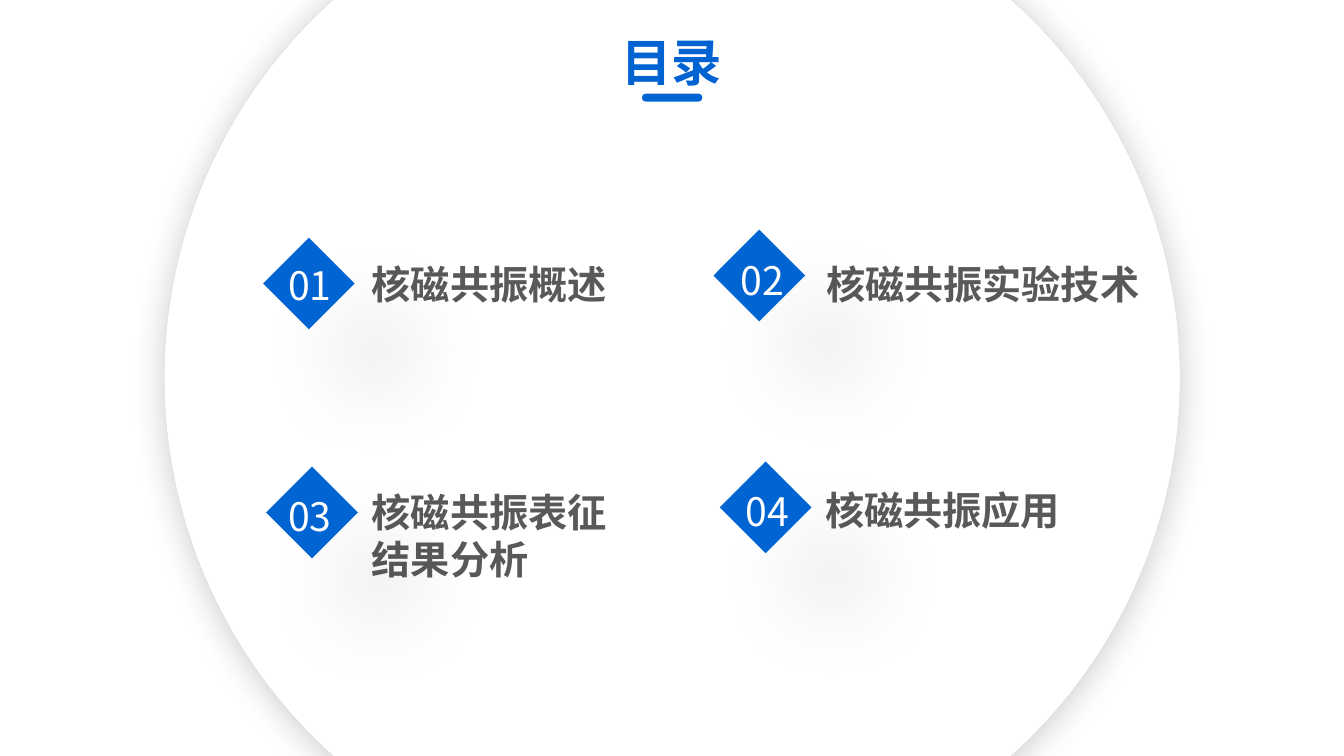
from lxml import etree
from pptx import Presentation
from pptx.dml.color import RGBColor
from pptx.enum.shapes import MSO_SHAPE as SHAPE
from pptx.enum.text import MSO_AUTO_SIZE as AUTO, PP_ALIGN as ALIGN
from pptx.oxml.ns import qn
from pptx.util import Cm, Pt

FONT = "Noto Sans CJK SC"
COLORS = {"white": "FFFFFF", "blue": "0064D2", "title": "0063D1",
          "text": "595959", "rim": "D9D9D9", "shadow": "000000"}
DIAMOND = 2.31
NUMBER_SIZE = (2.06, 1.55)

# number, label lines, then left/top in cm of diamond, number and label
ENTRIES = [
    ("01", ["核磁共振概述"], (6.63, 5.99), (6.78, 6.3), (9.12, 6.43)),
    ("02", ["核磁共振实验技术"], (17.98, 5.79), (18.19, 6.17), (20.57, 6.43)),
    ("03", ["核磁共振表征", "结果分析"], (6.71, 11.76), (6.78, 12.12), (9.12, 12.19)),
    ("04", ["核磁共振应用"], (18.14, 11.63), (18.31, 11.99), (20.55, 12.14)),
]


def rgb(name):
    return RGBColor.from_string(COLORS[name])


def add_filled(shapes, kind, left, top, width, height, color):
    sp = shapes.add_shape(kind, Cm(left), Cm(top), Cm(width), Cm(height))
    sp.shadow.inherit = False
    sp.fill.solid()
    sp.fill.fore_color.rgb = rgb(color)
    sp.line.fill.background()
    return sp


def add_shadow(sp, alpha, blur, dist, angle):
    """Opacity in percent, blur and distance in points, angle in degrees."""
    effects = sp._element.spPr.find(qn("a:effectLst"))
    outer = etree.SubElement(effects, qn("a:outerShdw"), blurRad=str(Pt(blur)),
                             dist=str(Pt(dist)), dir=str(angle * 60000),
                             algn="ctr", rotWithShape="0")
    color = etree.SubElement(outer, qn("a:srgbClr"), val=COLORS["shadow"])
    etree.SubElement(color, qn("a:alpha"), val=str(alpha * 1000))


def add_text(shapes, lines, left, top, width, height, size, color,
             bold=False, wrap=True, align=None, spacing=None):
    sp = shapes.add_textbox(Cm(left), Cm(top), Cm(width), Cm(height))
    tf = sp.text_frame
    tf.word_wrap = wrap
    tf.auto_size = AUTO.SHAPE_TO_FIT_TEXT
    for i, line in enumerate(lines):
        p = tf.add_paragraph() if i else tf.paragraphs[0]
        p.alignment = align
        p.line_spacing = spacing
        r = p.add_run()
        r.text = line
        r.font.size = Pt(size)
        r.font.bold = bold
        r.font.color.rgb = rgb(color)
        r.font.name = FONT
        etree.SubElement(r.font._element, qn("a:ea"), typeface=FONT)


def add_backdrop(shapes):
    circle = add_filled(shapes, SHAPE.OVAL, 4.14, -3.28, 25.6, 25.6, "white")
    circle.line.color.rgb = rgb("rim")
    circle.line.width = Pt(0.25)
    add_shadow(circle, 20, 25, 3, 90)


def add_entry(shapes, number, lines, diamond_at, number_at, label_at):
    group = shapes.add_group_shape().shapes
    width = 0.99 * max(map(len, lines)) + 0.56
    height = 1.19 * len(lines) + 0.26
    add_text(group, lines, *label_at, width, height, 28, "text", bold=True, wrap=False)
    diamond = add_filled(group, SHAPE.DIAMOND, *diamond_at, DIAMOND, DIAMOND, "blue")
    add_shadow(diamond, 11, 61, 67, 45)
    add_text(group, [number], *number_at, *NUMBER_SIZE, 28, "white",
             align=ALIGN.CENTER, spacing=1.14)


def add_title(shapes, title):
    group = shapes.add_group_shape().shapes
    bar = add_filled(group, SHAPE.ROUNDED_RECTANGLE, 16.18, 2.36, 1.52, 0.2, "blue")
    bar.adjustments[0] = 0.5
    add_text(group, [title], 12.8, 0.66, 8.26, 1.8, 36, "title",
             bold=True, align=ALIGN.CENTER)


def main():
    prs = Presentation()
    prs.slide_width, prs.slide_height = Cm(33.87), Cm(19.05)
    s = prs.slides.add_slide(prs.slide_layouts[6])
    add_backdrop(s.shapes)
    for entry in ENTRIES:
        add_entry(s.shapes, *entry)
    add_title(s.shapes, "目录")
    prs.save("out.pptx")


if __name__ == "__main__":
    main()
